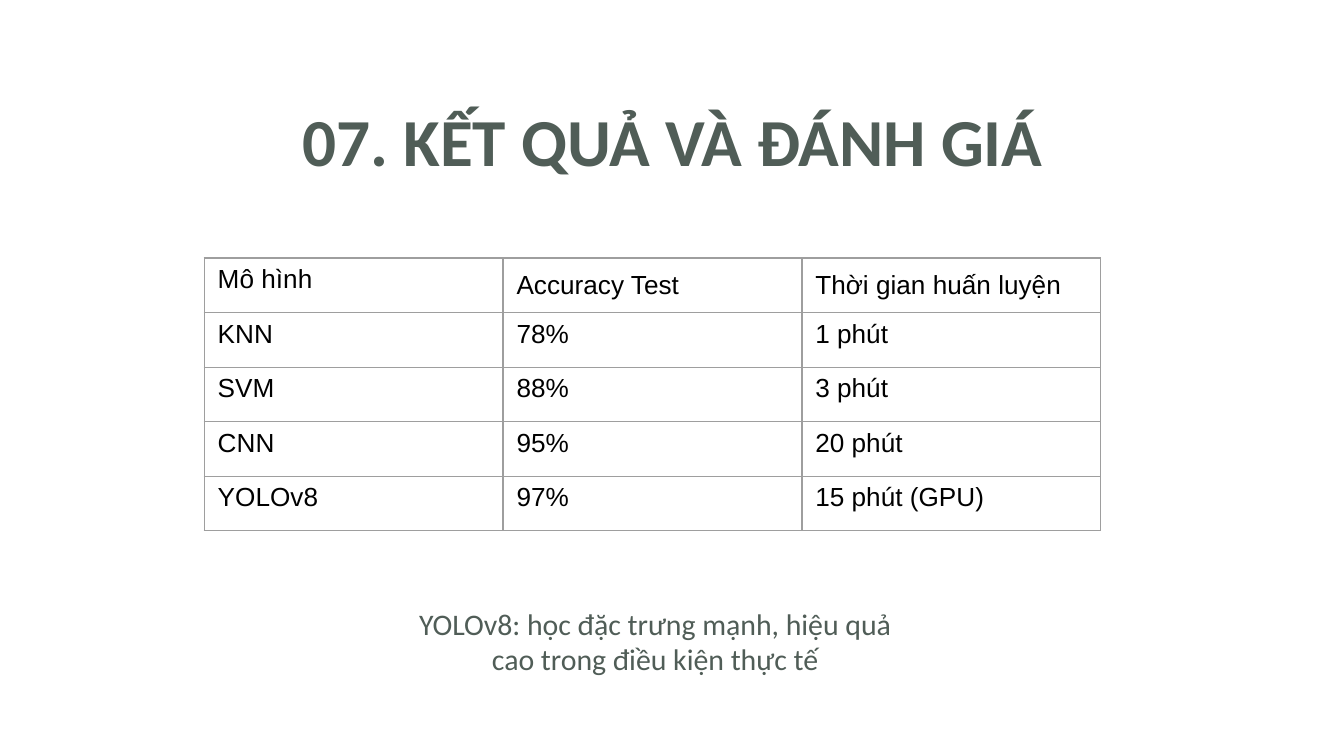
from pptx import Presentation
from pptx.dml.color import RGBColor
from pptx.enum.text import MSO_ANCHOR, MSO_AUTO_SIZE, PP_ALIGN
from pptx.oxml import parse_xml
from pptx.oxml.ns import nsdecls
from pptx.util import Inches, Pt

GREEN = RGBColor(0x50, 0x5D, 0x57)
BLACK = RGBColor(0, 0, 0)
GREY = RGBColor(0x9E, 0x9E, 0x9E)

RESULTS = [
    ("Mô hình", "Accuracy Test", "Thời gian huấn luyện"),
    ("KNN", "78%", "1 phút"),
    ("SVM", "88%", "3 phút"),
    ("CNN", "95%", "20 phút"),
    ("YOLOv8", "97%", "15 phút (GPU)"),
]


def write_text(tf, text, size, font, color, bold=False, align=PP_ALIGN.LEFT, after=0):
    p = tf.paragraphs[0]
    p.alignment = align
    p.space_before, p.space_after = Pt(0), Pt(after)
    r = p.add_run()
    r.text = text
    r.font.size, r.font.name, r.font.bold = Pt(size), font, bold
    r.font.color.rgb = color


def fill_placeholder(sp, box, text, **fmt):
    sp.left, sp.top, sp.width, sp.height = (Inches(v) for v in box)
    tf = sp.text_frame
    tf.word_wrap = True
    tf.auto_size = MSO_AUTO_SIZE.NONE
    tf.vertical_anchor = MSO_ANCHOR.MIDDLE
    tf.margin_left = tf.margin_right = tf.margin_top = tf.margin_bottom = Inches(0.1)
    write_text(tf, text, font="Calibri", color=GREEN, align=PP_ALIGN.CENTER, **fmt)


def set_borders(cell, color, width):
    tcPr = cell._tc.get_or_add_tcPr()
    for side in ("lnL", "lnR", "lnT", "lnB"):
        tcPr.append(parse_xml(
            f'<a:{side} {nsdecls("a")} w="{Pt(width)}"><a:solidFill>'
            f'<a:srgbClr val="{color}"/></a:solidFill></a:{side}>'))


def add_results_table(s, box, rows):
    left, top, width, height = (Inches(v) for v in box)
    table = s.shapes.add_table(len(rows), len(rows[0]), left, top, width, height).table
    table.first_row = table.horz_banding = False
    for i, row in enumerate(rows):
        for j, text in enumerate(row):
            cell = table.cell(i, j)
            set_borders(cell, GREY, 0.75)
            cell.fill.background()
            header_value = i == 0 and j > 0
            cell.vertical_anchor = MSO_ANCHOR.MIDDLE if header_value else MSO_ANCHOR.TOP
            write_text(cell.text_frame, text, size=14, font="Arial", color=BLACK)


def main():
    prs = Presentation()
    prs.slide_width = Inches(10)
    prs.slide_height = prs.slide_width * 9 // 16
    s = prs.slides.add_slide(prs.slide_layouts[0])
    fill_placeholder(s.shapes.title, (0.79, 0.58, 8.43, 0.92),
                     "07. KẾT QUẢ VÀ ĐÁNH GIÁ", size=36, bold=True)
    fill_placeholder(s.placeholders[1], (2.89, 4.36, 3.97, 0.82),
                     "YOLOv8: học đặc trưng mạnh, hiệu quả cao trong điều kiện thực tế",
                     size=16, after=12)
    add_results_table(s, (1.52, 1.92, 6.67, 2.03), RESULTS)
    prs.save("out.pptx")


if __name__ == "__main__":
    main()
